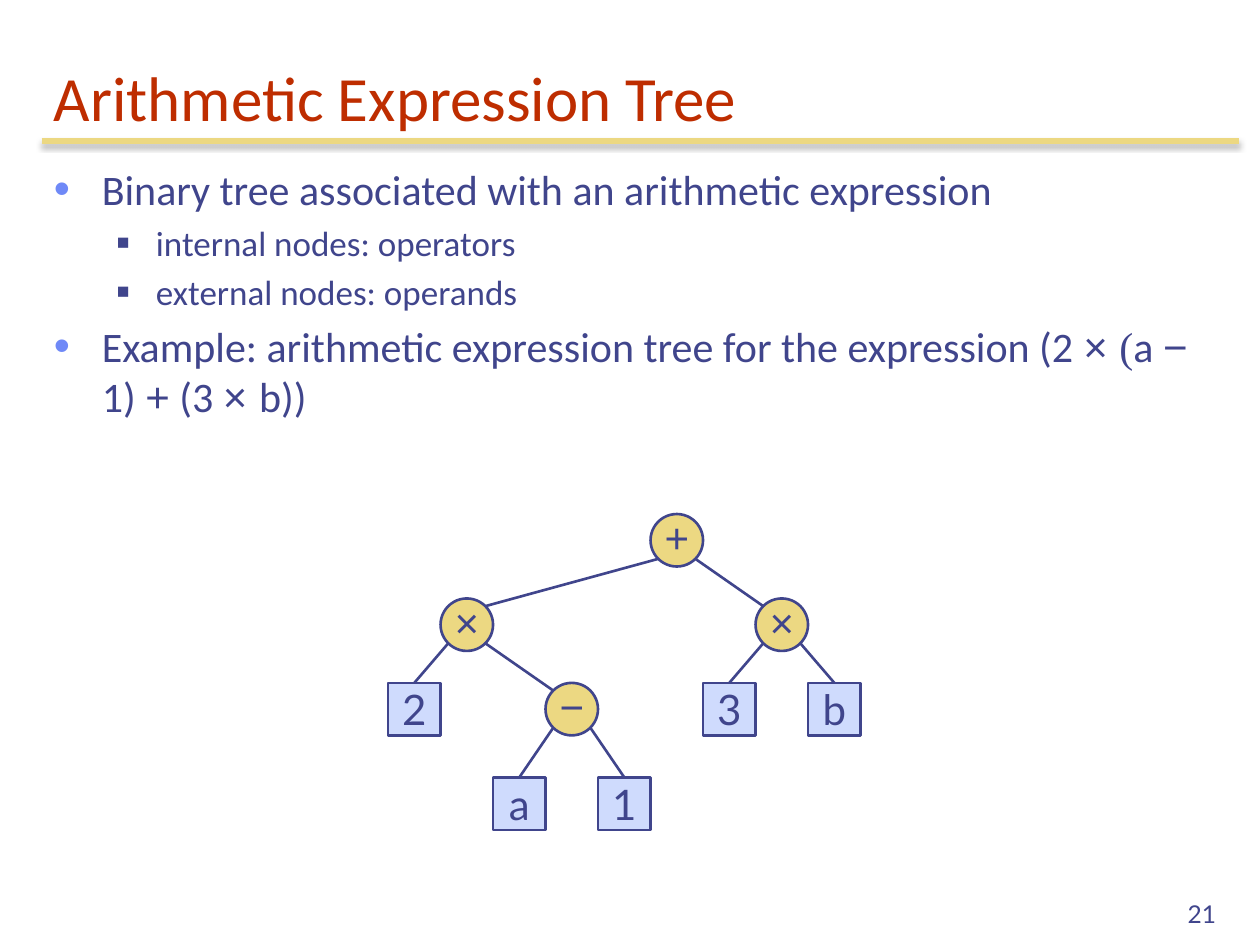
"""Build a slide that explains an arithmetic expression tree."""
import math

import lxml.etree
import pptx
import pptx.dml.color
import pptx.enum.shapes
import pptx.enum.text
import pptx.oxml.ns
import pptx.util

Inches, Pt = pptx.util.Inches, pptx.util.Pt
SHAPE = pptx.enum.shapes.MSO_SHAPE
ALIGN = pptx.enum.text.PP_ALIGN
ANCHOR = pptx.enum.text.MSO_ANCHOR
qn = pptx.oxml.ns.qn

COLORS = {"title": "BE2D00", "ink": "40458C", "gold": "ECD882",
          "leaf": "CFDBFD", "bullet": "6F89F7", "shadow": "000000"}

TITLE = "Arithmetic Expression Tree"
PAGE = "21"
EXPRESSION = [
    ("Example: arithmetic expression tree for the expression (2 ", "Calibri"),
    ("× ", "Arial"), ("(", "Times New Roman"), ("a ", "Calibri"),
    ("−", "Arial"), (" 1) ", "Calibri"), ("+", "Arial"),
    (" (3 ", "Calibri"), ("× ", "Arial"), ("b))", "Calibri"),
]
POINTS = [
    (0, [("Binary tree associated with an arithmetic expression", "Calibri")]),
    (1, [("internal nodes: operators", "Calibri")]),
    (1, [("external nodes: operands", "Calibri")]),
    (0, EXPRESSION),
]
LEVELS = [
    {"size": 24, "left": 0.38, "hang": 0.38, "mark": "•", "color": "bullet", "scale": 110},
    {"size": 20, "left": 0.81, "hang": 0.31, "mark": "■", "color": "ink", "scale": 60},
]
TREE = ("+", ("×", "2", ("−", "a", "1")), ("×", "3", "b"))

NODE = 5 / 12
TREE_LEFT = 3.08
ROW_TOPS = [4.08, 4.75, 5.42, 6.17]


def rgb(name):
    return pptx.dml.color.RGBColor.from_string(COLORS[name])


def style(font, size, family, color):
    font.size, font.name = Pt(size), family
    font.color.rgb = rgb(color)


def add_text(slide, box, anchor):
    frame = slide.shapes.add_textbox(*map(Inches, box)).text_frame
    frame.word_wrap, frame.vertical_anchor = True, anchor
    return frame


def add_label(slide, box, text, size, family, color, align):
    paragraph = add_text(slide, box, ANCHOR.BOTTOM).paragraphs[0]
    paragraph.text, paragraph.alignment = text, align
    style(paragraph.font, size, family, color)


def add_bullet(paragraph, level):
    props = paragraph._p.get_or_add_pPr()
    props.set("marL", str(Inches(level["left"])))
    props.set("indent", str(-Inches(level["hang"])))
    tint = lxml.etree.SubElement(props, qn("a:buClr"))
    lxml.etree.SubElement(tint, qn("a:srgbClr"), val=COLORS[level["color"]])
    lxml.etree.SubElement(props, qn("a:buSzPct"), val=str(level["scale"] * 1000))
    lxml.etree.SubElement(props, qn("a:buFont"), typeface="Arial")
    lxml.etree.SubElement(props, qn("a:buChar"), char=level["mark"])


def add_points(slide):
    frame = add_text(slide, (0.33, 1.25, 9.5, 5.67), ANCHOR.TOP)
    for index, (depth, pieces) in enumerate(POINTS):
        level = LEVELS[depth]
        paragraph = frame.add_paragraph() if index else frame.paragraphs[0]
        paragraph.level = depth
        add_bullet(paragraph, level)
        paragraph.space_before = Pt(level["size"] * 0.2 if index else 0)
        families = {family for _, family in pieces}
        style(paragraph.font, level["size"], pieces[0][1], "ink")
        for text, family in pieces:
            run = paragraph.add_run()
            run.text = text
            if len(families) > 1:
                run.font.name = family


def add_line(slide, start, end, color, width):
    line = slide.shapes.add_connector(
        pptx.enum.shapes.MSO_CONNECTOR.STRAIGHT, *map(Inches, (*start, *end)))
    line.line.color.rgb, line.line.width = rgb(color), Pt(width)
    effects = lxml.etree.SubElement(line._element.spPr, qn("a:effectLst"))
    return line, effects


def add_title_rule(slide):
    _, effects = add_line(slide, (0.33, 1.12), (9.83, 1.12), "gold", 3)
    shadow = lxml.etree.SubElement(
        effects, qn("a:outerShdw"), blurRad=str(Pt(3.1)), dist=str(Pt(1.8)),
        dir=str(90 * 60000), rotWithShape="0")
    tint = lxml.etree.SubElement(shadow, qn("a:srgbClr"), val=COLORS["shadow"])
    lxml.etree.SubElement(tint, qn("a:alpha"), val="35000")


def add_node(slide, symbol, column, row, is_leaf):
    box = (TREE_LEFT + column * NODE, ROW_TOPS[row], NODE, NODE)
    node = slide.shapes.add_shape(
        SHAPE.RECTANGLE if is_leaf else SHAPE.OVAL, *map(Inches, box))
    node.shadow.inherit = False
    node.fill.solid()
    node.fill.fore_color.rgb = rgb("leaf" if is_leaf else "gold")
    node.line.color.rgb, node.line.width = rgb("ink"), Pt(1.5)
    frame = node.text_frame
    frame.word_wrap, frame.vertical_anchor = False, ANCHOR.MIDDLE
    if not is_leaf:
        frame.margin_left = frame.margin_right = frame.margin_top = 0
        frame.margin_bottom = Inches(0.05)
    paragraph = frame.paragraphs[0]
    paragraph.text, paragraph.alignment = symbol, ALIGN.CENTER
    style(paragraph.font, 24, "Lato" if is_leaf else "Arial", "ink")
    return node


def place(tree, row=0, first=0):
    """Return the placed nodes in order, the root's index and the next column."""
    if isinstance(tree, str):
        return [(tree, first, row, None)], 0, first + 1
    symbol, left, right = tree
    before, left_root, column = place(left, row + 1, first)
    after, right_root, following = place(right, row + 1, column + 1)
    parent = (symbol, column, row, (before[left_root], after[right_root]))
    return before + [parent] + after, len(before), following


def rim_point(column, row, side, down):
    reach = NODE / 2 * math.sqrt(0.5)
    return (TREE_LEFT + (column + 0.5) * NODE + side * reach,
            ROW_TOPS[row] + NODE / 2 + down * reach)


def add_tree(slide):
    nodes, _, _ = place(TREE)
    shapes = {column: add_node(slide, symbol, column, row, children is None)
              for symbol, column, row, children in nodes}
    for _, column, row, children in nodes:
        for side, child in zip((-1, 1), children or ()):
            _, child_column, child_row, grandchildren = child
            branch, _ = add_line(slide, rim_point(column, row, side, 1),
                                 rim_point(child_column, child_row, -side, -1),
                                 "ink", 1.5)
            if grandchildren is None:
                branch.end_connect(shapes[child_column], 0)


def main():
    deck = pptx.Presentation()
    deck.slide_width, deck.slide_height = Inches(10), Inches(7.5)
    slide = deck.slides.add_slide(deck.slide_layouts[6])
    add_title_rule(slide)
    add_label(slide, (0.33, 0.33, 9.5, 0.78), TITLE, 36, "Calibri", "title", ALIGN.LEFT)
    add_points(slide)
    add_label(slide, (7.67, 6.92, 2.08, 0.5), PAGE, 14, "Lato", "ink", ALIGN.RIGHT)
    add_tree(slide)
    deck.save("out.pptx")


if __name__ == "__main__":
    main()
